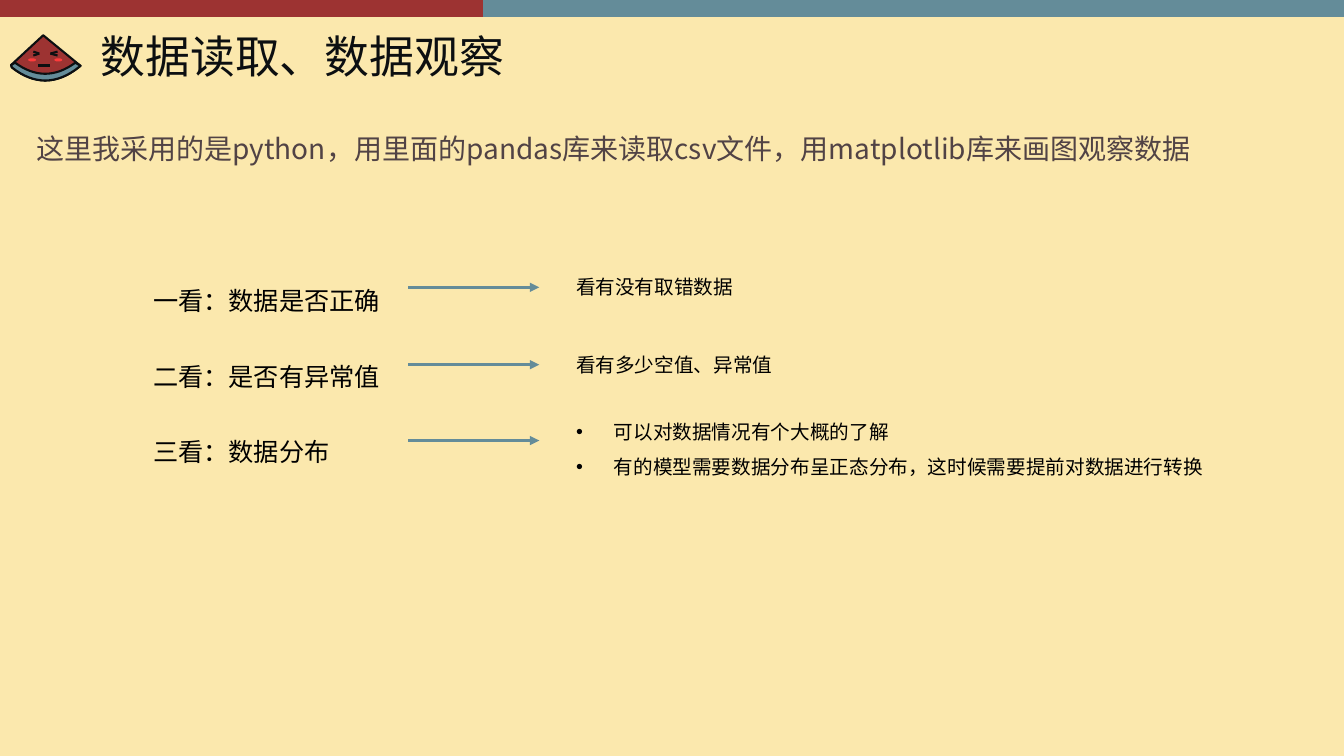
from pptx import Presentation
from pptx.dml.color import RGBColor
from pptx.enum.shapes import MSO_CONNECTOR as LineKind, MSO_SHAPE as Preset
from pptx.enum.text import MSO_ANCHOR as Anchor
from pptx.oxml.ns import qn
from pptx.util import Cm, Pt
from lxml.etree import SubElement

FONT = "Noto Sans CJK SC"
RED, TEAL, CREAM = "9D3332", "648C99", "FBE8AD"
INK, BROWN, BLACK, BLUSH = "0C0F11", "514345", "000000", "FF3B3B"


def color(value):
    """Turn a hex string into a colour."""
    return RGBColor.from_string(value)


def paint(shape, fill, line=None):
    """Fill a shape and draw or hide its outline."""
    shape.shadow.inherit = False
    shape.fill.solid()
    shape.fill.fore_color.rgb = color(fill)
    if line:
        shape.line.color.rgb = color(line)
        shape.line.width = Pt(1.5)
    else:
        shape.line.fill.background()


def add_preset(page, kind, box, fill):
    """Place a plain preset shape in a box given in centimetres."""
    paint(page.shapes.add_shape(kind, *map(Cm, box)), fill)


def add_line(page, start, end, hue, width, arrow=False):
    """Draw a straight line, with an arrowhead if wanted."""
    line = page.shapes.add_connector(LineKind.STRAIGHT, *map(Cm, start + end))
    line.line.color.rgb = color(hue)
    line.line.width = Pt(width)
    if arrow:
        SubElement(line.line._get_or_add_ln(), qn("a:tailEnd"), type="triangle")
    SubElement(line._element.spPr, qn("a:effectLst"))


def add_text(page, box, lines, size, hue, spacing=1.0, bullet=False, anchor=Anchor.TOP):
    """Place lines of text, one paragraph each, in a box."""
    frame = page.shapes.add_textbox(*map(Cm, box)).text_frame
    frame.word_wrap = True
    frame.vertical_anchor = anchor
    frame.text = "\n".join(lines)
    for para in frame.paragraphs:
        para.line_spacing = spacing
        if bullet:
            props = para._p.get_or_add_pPr()
            props.set("marL", str(Cm(0.95)))
            props.set("indent", str(-Cm(0.95)))
            SubElement(props, qn("a:buFont"), typeface="Arial")
            SubElement(props, qn("a:buChar"), char="•")
        para.font.size = Pt(size)
        para.font.color.rgb = color(hue)
        para.font.name = FONT
        SubElement(para.font._element, qn("a:ea"), typeface=FONT)


def arc(center, bottom, half_width, depth, steps=16):
    """Return points of a shallow bowl from left to right."""
    offsets = [2 * step / steps - 1 for step in range(steps + 1)]
    return [(center + half_width * t, bottom - depth * t * t) for t in offsets]


def draw_melon(page, left, top):
    """Draw the melon slice with its face from the given corner."""
    def at(x, y):
        return left + x, top + y

    outer = arc(0.86, 1.14, 0.84, 0.33)
    inner = arc(0.86, 0.97, 0.76, 0.28)
    corners = [(1.75, 0.77), *reversed(outer), (0, 0.75)]
    for outline, fill in (([(0.81, 0), *corners], RED), (inner + corners, TEAL)):
        points = [tuple(map(Cm, at(*point))) for point in outline]
        builder = page.shapes.build_freeform(*points[0])
        builder.add_line_segments(points[1:], close=True)
        paint(builder.convert_to_shape(), fill, INK)
    for x in (0.43, 1.09):
        add_preset(page, Preset.OVAL, (*at(x, 0.58), 0.2, 0.08), BLUSH)
    add_line(page, at(0.69, 0.76), at(0.99, 0.76), INK, 1.5)
    for outside, inside in ((0.56, 0.71), (1.17, 0.99)):
        for y in (0.41, 0.51):
            add_line(page, at(outside, y), at(inside, 0.46), INK, 1.5)


def draw_header(page, left, top, width):
    """Draw the two-colour band, the icon and the title."""
    add_preset(page, Preset.RECTANGLE, (left, top, width, 0.43), TEAL)
    add_preset(page, Preset.RECTANGLE, (left, top, 12.17, 0.43), RED)
    draw_melon(page, left + 0.28, top + 0.89)
    add_text(page, (left + 2.29, top + 0.43, width - 2.29, 2.11),
             ["数据读取、数据观察"], 32, INK, 0.9, anchor=Anchor.MIDDLE)


def draw_checks(page, left, top):
    """List the three checks, each with an arrow to its notes."""
    checks = [
        ("一看：数据是否正确", 1.32, 0.43, 6.5, ["看有没有取错数据"]),
        ("二看：是否有异常值", 3.27, 0.43, 11.73, ["看有多少空值、异常值"]),
        ("三看：数据分布", 5.18, 0.94, 17.58,
         ["可以对数据情况有个大概的了解",
          "有的模型需要数据分布呈正态分布，这时候需要提前对数据进行转换"]),
    ]
    add_text(page, (left, top, 16.94, 6.02), [check[0] for check in checks], 18, BLACK, 2.5)
    for _, offset, rise, width, notes in checks:
        y = top + offset
        several = len(notes) > 1
        add_line(page, (left + 6.68, y), (left + 9.98, y), TEAL, 2.25, arrow=True)
        add_text(page, (left + 10.66, y - rise, width, 2.06 if several else 0.86),
                 notes, 14, BLACK, 1.5 if several else 1.0, bullet=several)


def main():
    """Build the slide and save the deck."""
    deck = Presentation()
    deck.slide_width, deck.slide_height = Cm(33.87), Cm(19.05)
    page = deck.slides.add_slide(deck.slide_layouts[6])
    page.background.fill.solid()
    page.background.fill.fore_color.rgb = color(CREAM)
    draw_header(page, 0, 0, 33.87)
    add_text(page, (0.66, 3.28, 32.54, 14.73),
             ["这里我采用的是python，用里面的pandas库来读取csv文件，用matplotlib库来画图观察数据"],
             20, BROWN, 0.9)
    draw_checks(page, 3.61, 5.92)
    deck.save("out.pptx")


if __name__ == "__main__":
    main()
